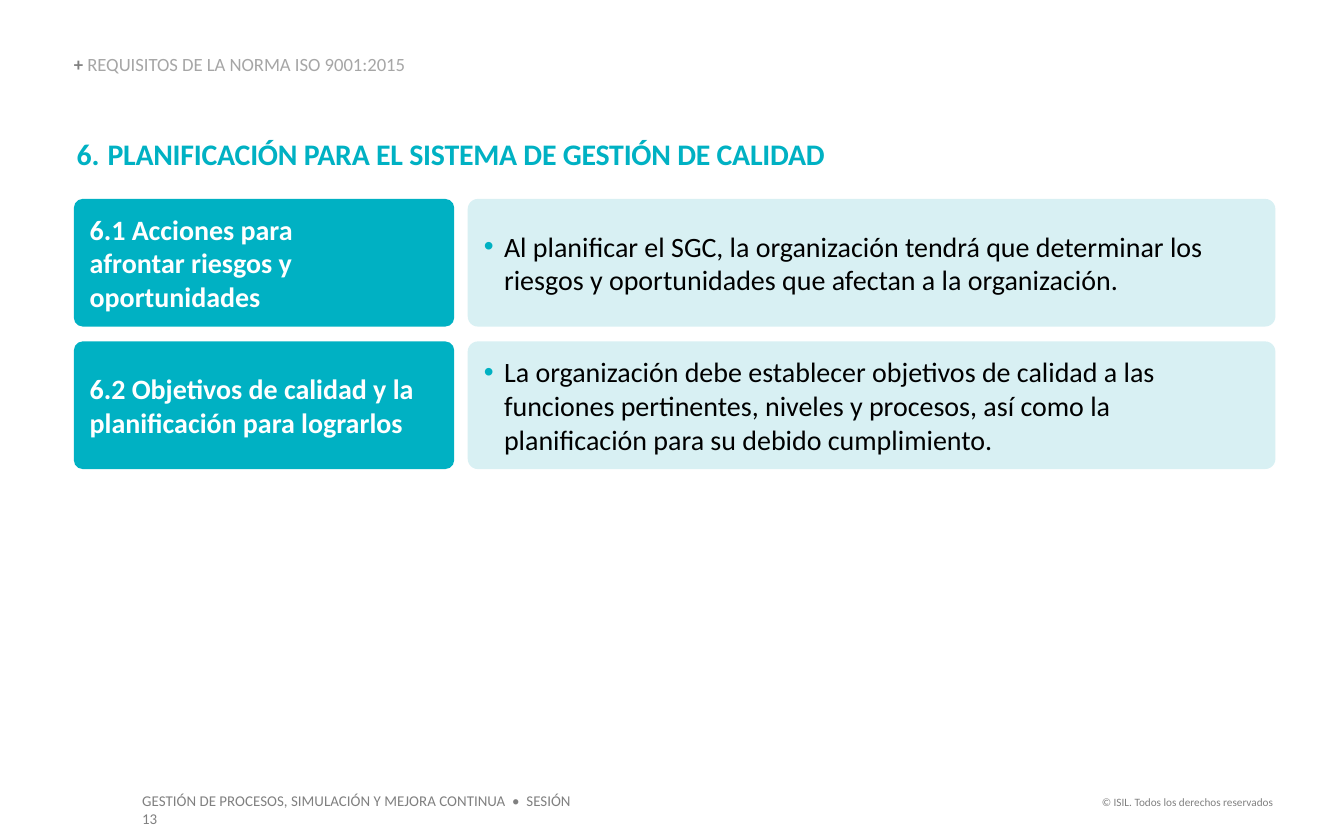
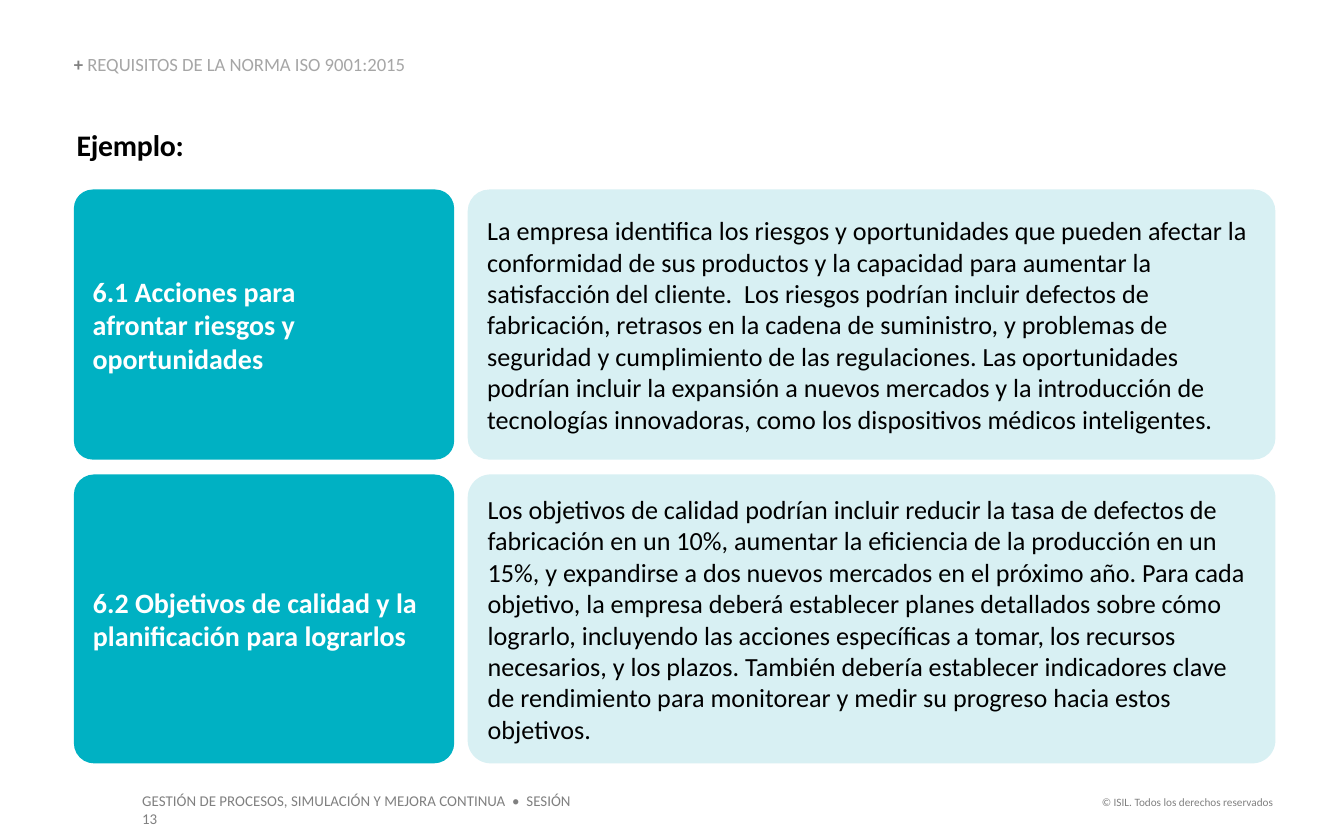
from dataclasses import dataclass

from lxml.etree import SubElement
from pptx import Presentation
from pptx.dml.color import RGBColor
from pptx.enum.shapes import MSO_SHAPE
from pptx.enum.text import MSO_ANCHOR, MSO_AUTO_SIZE, PP_ALIGN
from pptx.oxml.ns import qn
from pptx.util import Inches, Pt


@dataclass(frozen=True)
class Theme:
    font: str = "Calibri"
    # Colours
    teal: str = "00B1C3"
    pale_teal: str = "D8F0F3"
    bullet: str = "00B1C2"
    white: str = "FFFFFF"
    black: str = "000000"
    gray: str = "808080"
    light_gray: str = "A6A6A6"
    # Type sizes
    heading_size: int = 16
    label_size: int = 15
    section_size: int = 10
    footer_size: int = 8
    copyright_size: int = 6
    # Card grid
    left: float = 0.55
    label_width: float = 2.83
    detail_width: float = 6.01
    column_gap: float = 0.1
    row_gap: float = 0.11
    label_corner: float = 0.07
    detail_corner: float = 0.08


SECTION = "REQUISITOS DE LA NORMA ISO 9001:2015"
FOOTER = "GESTIÓN DE PROCESOS, SIMULACIÓN Y MEJORA CONTINUA  •  SESIÓN 13"
COPYRIGHT = "© ISIL. Todos los derechos reservados"
TITLE_ONLY = 5


class Deck:
    """Holds the theme and the slide being built."""

    def __init__(self, theme):
        self.theme = theme
        self.presentation = Presentation()
        self.presentation.slide_width = Inches(10)
        self.presentation.slide_height = Inches(6.25)
        self.slide = None

    def add_slide(self):
        layout = self.presentation.slide_layouts[TITLE_ONLY]
        self.slide = self.presentation.slides.add_slide(layout)
        self.add_section()
        self.add_footer()

    # Text helpers
    def set_frame(self, shape, anchor=MSO_ANCHOR.TOP, inset=None):
        frame = shape.text_frame
        values = {"word_wrap": True, "auto_size": MSO_AUTO_SIZE.NONE,
                  "vertical_anchor": anchor}
        if inset is not None:
            for side in ("left", "top", "right", "bottom"):
                values[f"margin_{side}"] = Inches(inset)
        for name, value in values.items():
            setattr(frame, name, value)
        return frame

    def add_run(self, paragraph, text, size, color, bold=False):
        run = paragraph.add_run()
        run.text = text
        values = {"name": self.theme.font, "size": Pt(size), "bold": bold}
        for name, value in values.items():
            setattr(run.font, name, value)
        run.font.color.rgb = RGBColor.from_string(color)
        return run

    def set_indent(self, paragraph, left, first):
        properties = paragraph._p.get_or_add_pPr()
        properties.set("marL", str(Inches(left)))
        properties.set("indent", str(Inches(first)))
        return properties

    def add_textbox(self, left, top, width, height, **frame_values):
        box = self.slide.shapes.add_textbox(
            Inches(left), Inches(top), Inches(width), Inches(height))
        return self.set_frame(box, **frame_values).paragraphs[0]

    # Elements shared by the slides
    def add_section(self):
        theme = self.theme
        paragraph = self.add_textbox(theme.left, 0.41, 4.65, 0.15,
                                     anchor=MSO_ANCHOR.BOTTOM, inset=0)
        paragraph.line_spacing = 0.9
        self.add_run(paragraph, "+ ", theme.section_size, theme.gray, bold=True)
        self.add_run(paragraph, SECTION, theme.section_size, theme.light_gray)

    def add_footer(self):
        theme = self.theme
        paragraph = self.add_textbox(8.07, 5.87, 1.5, 0.2)
        paragraph.alignment = PP_ALIGN.RIGHT
        self.add_run(paragraph, COPYRIGHT, theme.copyright_size, theme.gray)
        paragraph = self.add_textbox(0.96, 5.84, 3.5, 0.24)
        self.add_run(paragraph, FOOTER, theme.footer_size, theme.gray)

    def add_heading(self, text, top, color, number=None):
        title = self.slide.shapes.title
        values = {"left": 0.56, "top": top, "width": 8.93, "height": 0.27}
        for name, value in values.items():
            setattr(title, name, Inches(value))
        paragraph = self.set_frame(title, inset=0).paragraphs[0]
        paragraph.alignment = PP_ALIGN.LEFT
        if number is None:
            self.set_indent(paragraph, 0.01, 0)
        else:
            properties = self.set_indent(paragraph, 0.24, -0.23)
            SubElement(properties, qn("a:buFont"), typeface="+mj-lt")
            SubElement(properties, qn("a:buAutoNum"),
                       type="arabicPeriod", startAt=str(number))
        run = self.add_run(paragraph, text, self.theme.heading_size, color, bold=True)
        run._r.get_or_add_rPr().set("spc", "-10")

    # Cards
    def add_card(self, left, top, width, height, corner, fill, lines,
                 size, color, bold=False, bulleted=False):
        card = self.slide.shapes.add_shape(
            MSO_SHAPE.ROUNDED_RECTANGLE,
            Inches(left), Inches(top), Inches(width), Inches(height))
        card.adjustments[0] = corner
        card.shadow.inherit = False
        card.fill.solid()
        card.fill.fore_color.rgb = RGBColor.from_string(fill)
        card.line.fill.background()
        frame = self.set_frame(card, anchor=MSO_ANCHOR.MIDDLE)
        for index, line in enumerate(lines):
            paragraph = frame.add_paragraph() if index else frame.paragraphs[0]
            paragraph.alignment = PP_ALIGN.LEFT
            if bulleted:
                self.add_bullet(paragraph)
            self.add_run(paragraph, line, size, color, bold)

    def add_bullet(self, paragraph):
        properties = self.set_indent(paragraph, 0.15, -0.15)
        bullet_color = SubElement(properties, qn("a:buClr"))
        SubElement(bullet_color, qn("a:srgbClr"), val=self.theme.bullet)
        SubElement(properties, qn("a:buFont"), typeface="Arial")
        SubElement(properties, qn("a:buChar"), char="•")

    def add_card_rows(self, top, heights, details, size, bulleted=False):
        theme = self.theme
        detail_left = theme.left + theme.label_width + theme.column_gap
        for label, detail, height in zip(LABELS, details, heights):
            self.add_card(theme.left, top, theme.label_width, height,
                          theme.label_corner, theme.teal, label,
                          theme.label_size, theme.white, bold=True)
            self.add_card(detail_left, top, theme.detail_width, height,
                          theme.detail_corner, theme.pale_teal, [detail],
                          size, theme.black, bulleted=bulleted)
            top += height + theme.row_gap


LABELS = [
    ["6.1 Acciones para", "afrontar riesgos y", "oportunidades"],
    ["6.2 Objetivos de calidad y la planificación para lograrlos"],
]
REQUIREMENTS = [
    "Al planificar el SGC, la organización tendrá que determinar los riesgos y "
    "oportunidades que afectan a la organización.",
    "La organización debe establecer objetivos de calidad a las funciones "
    "pertinentes, niveles y procesos, así como la planificación para su debido "
    "cumplimiento.",
]
EXAMPLES = [
    "La empresa identifica los riesgos y oportunidades que pueden afectar la "
    "conformidad de sus productos y la capacidad para aumentar la satisfacción "
    "del cliente.  Los riesgos podrían incluir defectos de fabricación, "
    "retrasos en la cadena de suministro, y problemas de seguridad y "
    "cumplimiento de las regulaciones. Las oportunidades podrían incluir la "
    "expansión a nuevos mercados y la introducción de tecnologías innovadoras, "
    "como los dispositivos médicos inteligentes.",
    "Los objetivos de calidad podrían incluir reducir la tasa de defectos de "
    "fabricación en un 10%, aumentar la eficiencia de la producción en un 15%, "
    "y expandirse a dos nuevos mercados en el próximo año. Para cada objetivo, "
    "la empresa deberá establecer planes detallados sobre cómo lograrlo, "
    "incluyendo las acciones específicas a tomar, los recursos necesarios, y "
    "los plazos. También debería establecer indicadores clave de rendimiento "
    "para monitorear y medir su progreso hacia estos objetivos.",
]


def main():
    theme = Theme()
    deck = Deck(theme)

    # Requirements of clause 6
    deck.add_slide()
    deck.add_heading("PLANIFICACIÓN PARA EL SISTEMA DE GESTIÓN DE CALIDAD",
                     1.01, theme.teal, number=6)
    deck.add_card_rows(1.48, [0.95, 0.95], REQUIREMENTS, 15, bulleted=True)

    # Worked example
    deck.add_slide()
    deck.add_heading("Ejemplo:", 0.94, theme.black)
    deck.add_card_rows(1.41, [2.01, 2.15], EXAMPLES, 14)

    deck.presentation.save("out.pptx")


if __name__ == "__main__":
    main()
